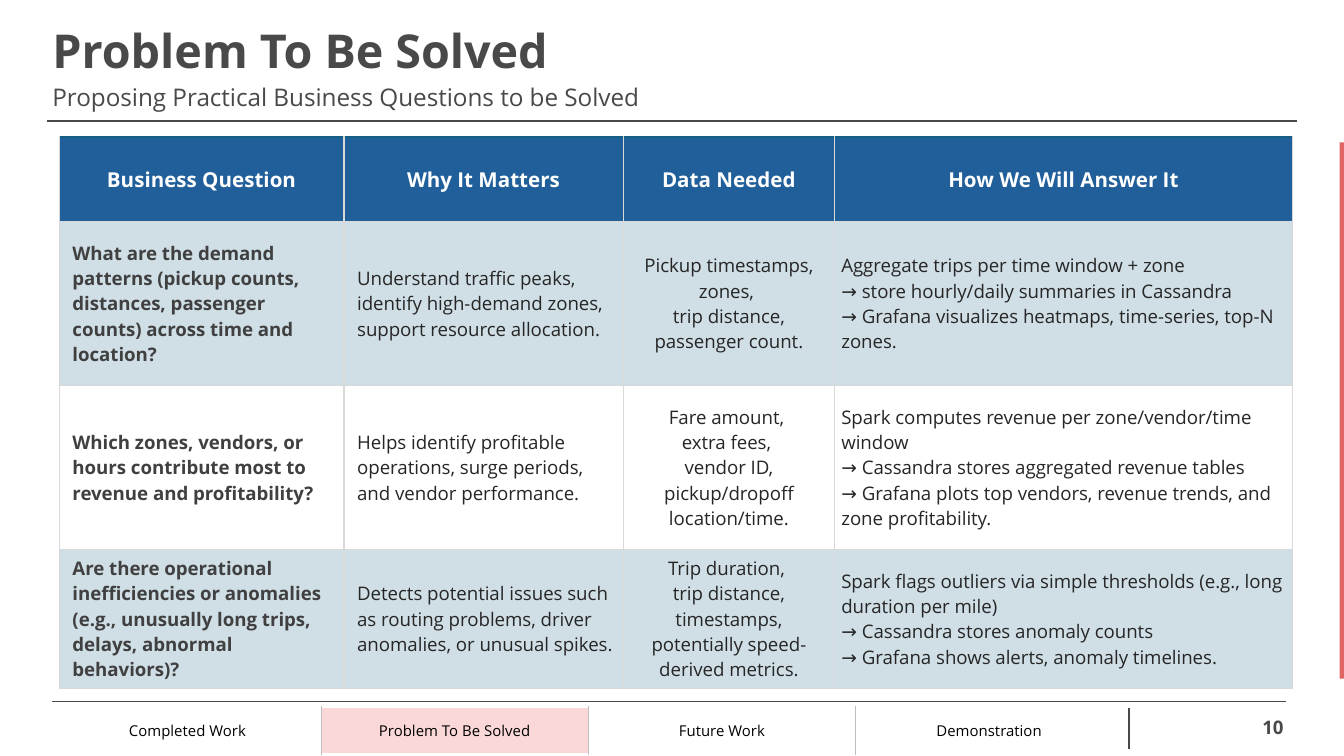
from lxml.etree import SubElement as Sub
from pptx import Presentation
from pptx.dml.color import RGBColor
from pptx.enum.shapes import MSO_CONNECTOR as Link, MSO_SHAPE as Shape
from pptx.enum.text import MSO_ANCHOR as Anchor, MSO_AUTO_SIZE as Fit, PP_ALIGN as Align
from pptx.oxml.ns import qn
from pptx.util import Cm, Pt

FONT = "Open Sans"
DARK, INK, BOLD = "494949", "262626", "404040"
TEAL, GRID, WHITE = "156082", "D9D9D9", "FFFFFF"

HEAD = ["Business Question", "Why It Matters", "Data Needed", "How We Will Answer It"]
ROWS = [
    ["What are the demand patterns (pickup counts, distances, passenger counts) "
     "across time and location?",
     "Understand traffic peaks, identify high-demand zones, support resource allocation.",
     "Pickup timestamps, zones, \ntrip distance, passenger count.",
     "Aggregate trips per time window + zone \n"
     "→ store hourly/daily summaries in Cassandra \n"
     "→ Grafana visualizes heatmaps, time-series, top-N zones."],
    ["Which zones, vendors, or hours contribute most to revenue and profitability?",
     "Helps identify profitable operations, surge periods, and vendor performance.",
     "Fare amount, \nextra fees, \nvendor ID, pickup/dropoff location/time.",
     "Spark computes revenue per zone/vendor/time window \n"
     "→ Cassandra stores aggregated revenue tables \n"
     "→ Grafana plots top vendors, revenue trends, and zone profitability."],
    ["Are there operational inefficiencies or anomalies (e.g., unusually long trips, "
     "delays, abnormal behaviors)?",
     "Detects potential issues such as routing problems, driver anomalies, "
     "or unusual spikes.",
     "Trip duration, \ntrip distance, timestamps, potentially speed-derived metrics.",
     "Spark flags outliers via simple thresholds (e.g., long duration per mile) \n"
     "→ Cassandra stores anomaly counts \n"
     "→ Grafana shows alerts, anomaly timelines."],
]
STEPS = ["Completed Work", "Problem To Be Solved", "Future Work", "Demonstration"]


def rgb(code):
    return RGBColor.from_string(code)


def write(frame, text, size=10, color=DARK, bold=False, align=Align.LEFT, space=1.0):
    para = frame.paragraphs[0]
    para.text = text
    para.alignment = align
    para.line_spacing = space
    para.space_before = Pt(0)
    for run in para.runs:
        font = run.font
        font.name, font.size, font.bold = FONT, Pt(size), bold
        font.color.rgb = rgb(color)
    # Line breaks carry their own size
    for gap in para._p.findall(qn("a:br")):
        Sub(gap, qn("a:rPr")).set("sz", str(size * 100))


def place(box, left, top, width, height):
    box.left, box.top, box.width, box.height = map(Cm, (left, top, width, height))
    frame = box.text_frame
    frame.word_wrap = True
    frame.auto_size = Fit.NONE
    frame.vertical_anchor = Anchor.TOP
    frame.margin_left = frame.margin_right = Cm(0.25)
    frame.margin_top = frame.margin_bottom = Cm(0.25)
    return frame


def rule(slide, x1, y1, x2, y2):
    line = slide.shapes.add_connector(Link.STRAIGHT, Cm(x1), Cm(y1), Cm(x2), Cm(y2))
    line.line.color.rgb = rgb(DARK)
    line.line.width = Pt(0.75)
    Sub(line._element.spPr, qn("a:effectLst"))


def grid(slide, left, top, cols, rows):
    table = slide.shapes.add_table(len(rows), len(cols), Cm(left), Cm(top),
                                   Cm(sum(cols)), Cm(sum(rows))).table
    table.first_row = table.horz_banding = False
    for col, width in zip(table.columns, cols):
        col.width = Cm(width)
    for row, height in zip(table.rows, rows):
        row.height = Cm(height)
    return table


def border(cell, **sides):
    """Draw the sides L, R, T, B, each a (color, points) pair; call before paint."""
    props = cell._tc.get_or_add_tcPr()
    for side in "LRTB":
        color, width = sides[side]
        line = Sub(props, qn("a:ln" + side), w=str(int(Pt(width))))
        Sub(Sub(line, qn("a:solidFill")), qn("a:srgbClr"), val=color)


def paint(cell, color, alpha=None):
    cell.fill.solid()
    cell.fill.fore_color.rgb = rgb(color)
    if alpha:
        tint = cell._tc.tcPr.find(qn("a:solidFill")).find(qn("a:srgbClr"))
        Sub(tint, qn("a:alpha"), val=str(alpha * 1000))


def pad(cell, left, right, edge):
    cell.vertical_anchor = Anchor.MIDDLE
    cell.margin_left, cell.margin_right = Cm(left), Cm(right)
    cell.margin_top = cell.margin_bottom = Cm(edge)


def plan(slide):
    """Add the table of business questions."""
    table = grid(slide, 1.12, 2.59, [5.38, 5.28, 3.99, 8.66], [1.6, 3.1, 3.1, 2.62])
    thin = (GRID, 0.75)
    for r, row in enumerate([HEAD] + ROWS):
        for c, text in enumerate(row):
            cell = table.cell(r, c)
            pad(cell, 0.25 if r and c < 2 else 0.13, 0.13, 0.05)
            border(cell, L=thin, R=thin, T=thin if r else (TEAL, 1), B=thin)
            if r == 0:
                paint(cell, "215F9A")
                write(cell.text_frame, text, size=11, color=WHITE, bold=True,
                      align=Align.CENTER)
                continue
            if r % 2:
                paint(cell, TEAL, alpha=20)
            else:
                cell.fill.background()
            write(cell.text_frame, text, color=INK if c else BOLD, bold=c == 0,
                  align=Align.CENTER if c == 2 else Align.LEFT)


def steps(slide, current):
    """Add the footer strip with the current section tinted."""
    table = grid(slide, 1.02, 13.36, [5.05] * len(STEPS), [0.84])
    none, thin = (WHITE, 1.5), ("BFBFBF", 0.75)
    last = len(STEPS) - 1
    for c, text in enumerate(STEPS):
        cell = table.cell(0, c)
        pad(cell, 0.25, 0.25, 0.25)
        border(cell, L=thin if c else none, R=thin if c < last else none,
               T=none, B=none)
        paint(cell, "FAD8D8" if text == current else WHITE)
        write(cell.text_frame, text, size=8, color="000000", align=Align.CENTER)


def main():
    deck = Presentation()
    deck.slide_width, deck.slide_height = Cm(25.4), Cm(14.29)
    slide = deck.slides.add_slide(deck.slide_layouts[0])
    title, sub = slide.placeholders

    bar = slide.shapes.add_shape(Shape.RECTANGLE, Cm(25.32), Cm(2.69), Cm(0.08), Cm(10.14))
    bar.shadow.inherit = False
    bar.fill.solid()
    bar.fill.fore_color.rgb = rgb("E06666")
    bar.line.fill.background()

    rule(slide, 21.34, 13.39, 21.34, 14.15)
    rule(slide, 0.99, 13.26, 24.31, 13.26)
    rule(slide, 0.89, 2.29, 24.51, 2.29)

    write(place(title, 0.74, 0, 23.62, 1.27), "Problem To Be Solved",
          size=25, bold=True, space=1.15)
    write(place(sub, 0.74, 1.3, 23.67, 0.84),
          "Proposing Practical Business Questions to be Solved", size=13)
    page = slide.shapes.add_textbox(0, 0, 0, 0)
    write(place(page, 23.47, 13.28, 1.04, 0.89), "10", bold=True, align=Align.RIGHT)

    steps(slide, "Problem To Be Solved")
    plan(slide)
    deck.save("out.pptx")


if __name__ == "__main__":
    main()
